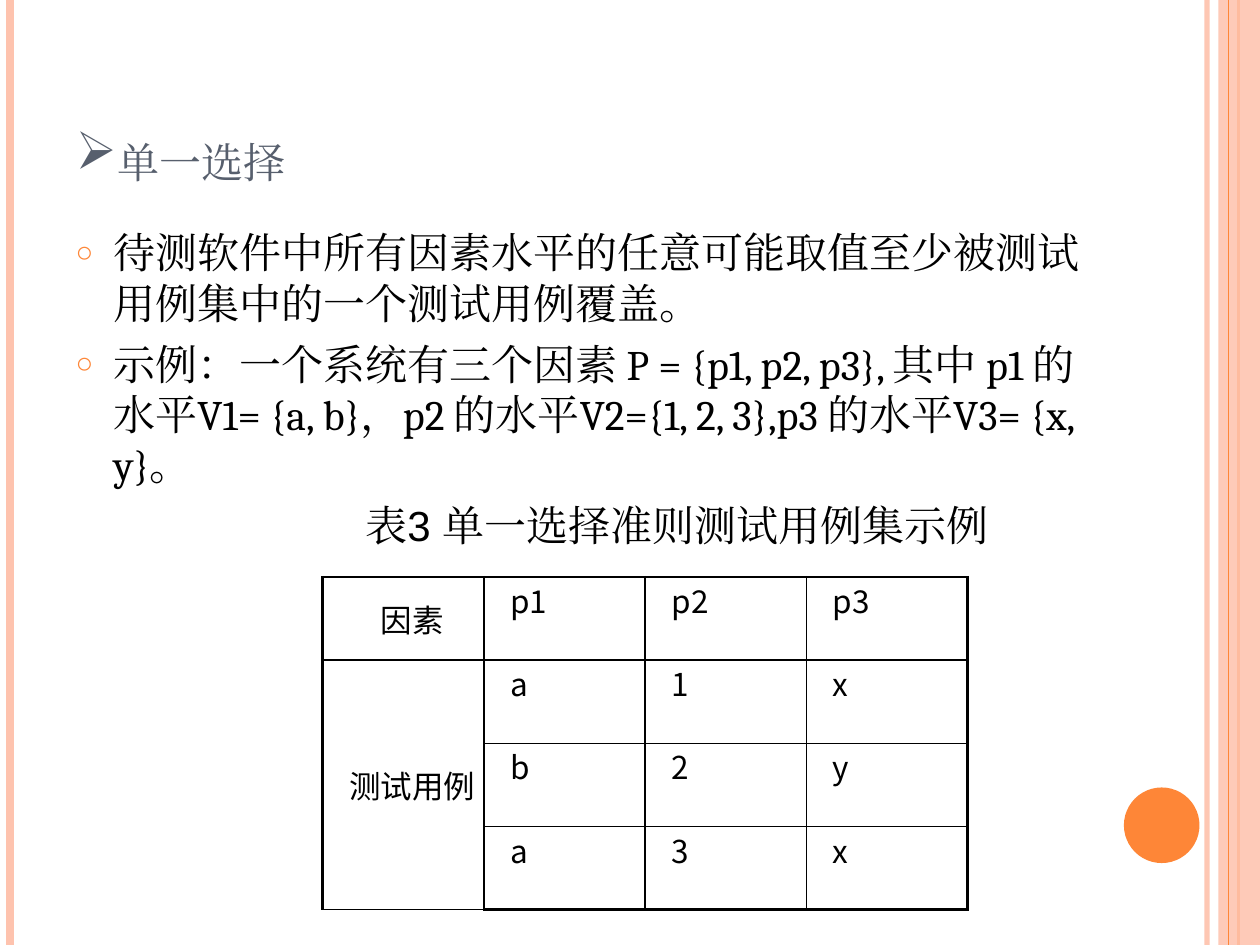
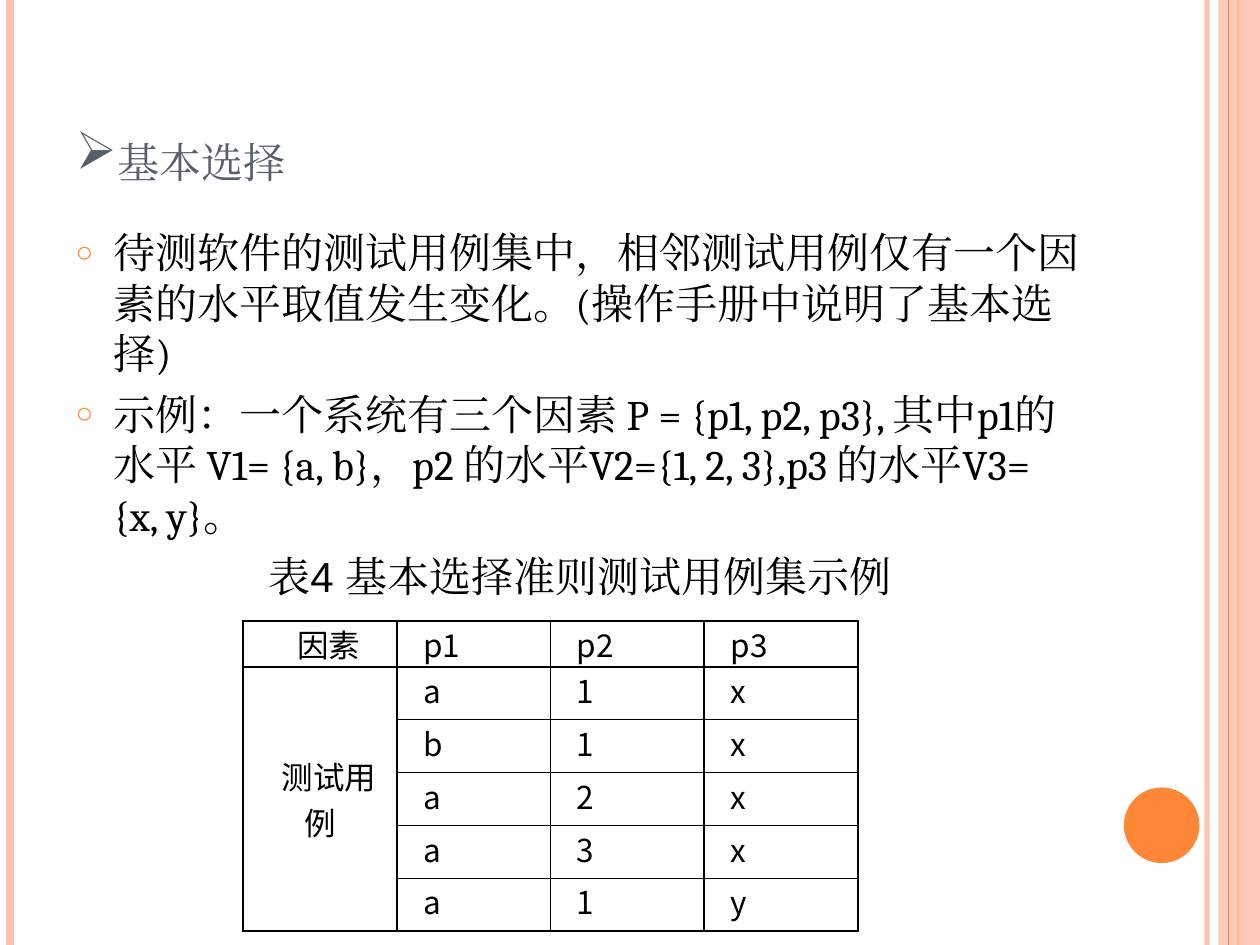
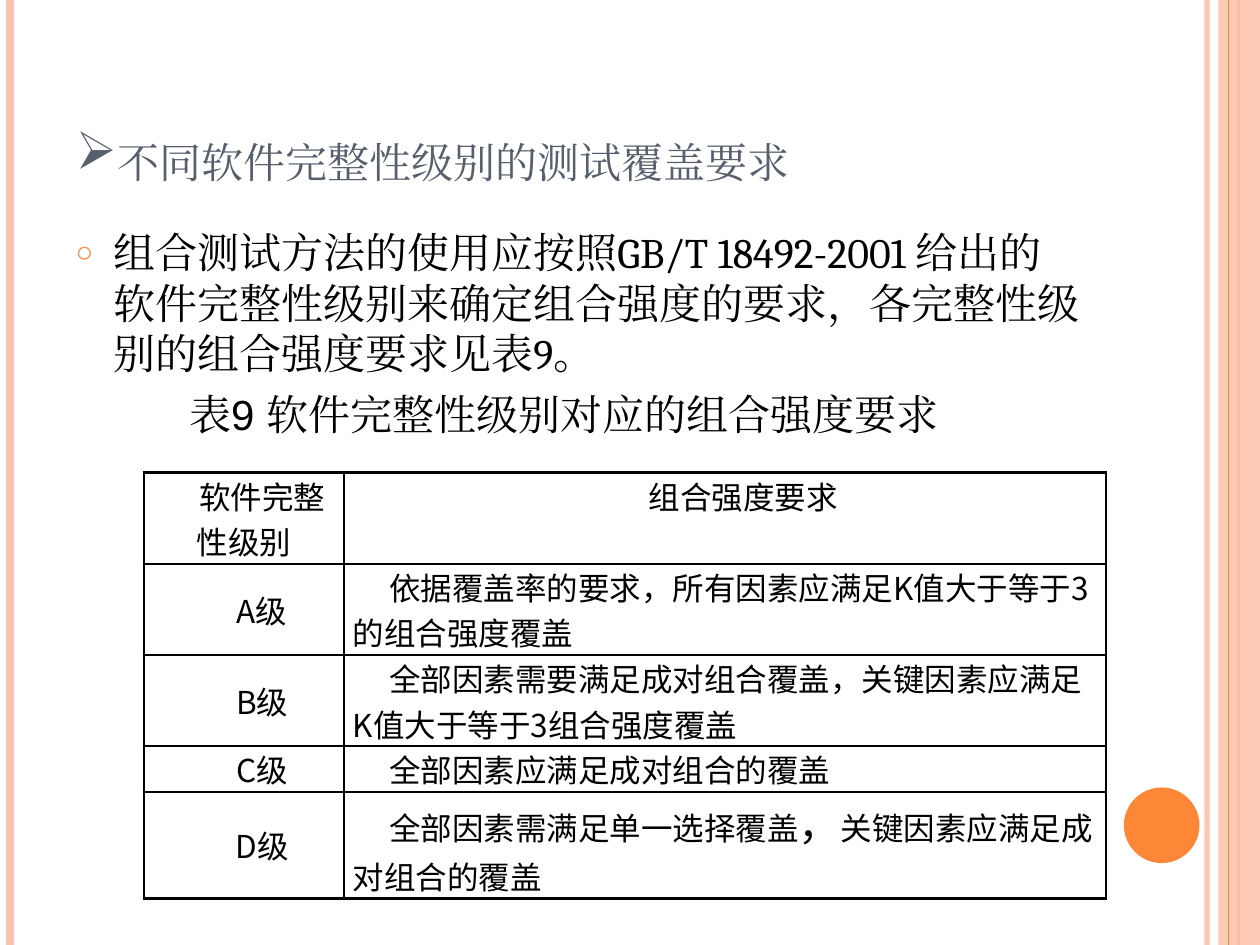
from dataclasses import dataclass
from typing import Optional, Union

from lxml import etree
from pptx import Presentation
from pptx import util as u
from pptx.dml import color
from pptx.enum import shapes, text
from pptx.oxml import ns


@dataclass(frozen=True)
class Theme:
    ink: str = "000000"
    title: str = "575F6D"
    accent: str = "FE8637"
    pale: str = "FEC3AE"
    serif: str = "Cambria"
    caption: str = "Arial"
    table: str = "Noto Sans CJK SC"
    title_pt: int = 30
    body_pt: int = 24
    cell_pt: int = 18
    gap_pt: int = 6
    thick: float = 1.5
    thin: float = 1


@dataclass(frozen=True)
class Box:
    col: float
    row: float
    cols: float
    rows: float


@dataclass(frozen=True)
class Rule:
    col: float
    color: str
    width: float
    alpha: int = 100


@dataclass(frozen=True)
class Run:
    text: str
    size: int


Cell = Union[str, list[Run]]


@dataclass(frozen=True)
class Grid:
    left: float
    top: float
    cols: list[float]
    rows: list[float]
    cells: list[list[Cell]]
    indent: float = 1.4
    merge_label: bool = True
    centre_header: bool = False


@dataclass(frozen=True)
class Page:
    title: str
    points: list[str]
    caption: str
    caption_indent: float
    grid: Grid


T = Theme()
WIDTH, HEIGHT = u.Inches(10), u.Inches(7.5)
COLUMNS, ROWS = 100, 75
TITLE_BOX = Box(5, 3, 81.7, 12.5)
BODY_BOX = Box(5, 17.5, 81.7, 53.3)
BAND_BOX = Box(96.7, 0, 3.3, ROWS)
DOT_BOX = Box(89.2, 62.5, 6, 6)
HANG = 3
CELL_INSET = 0.7


def col(n: float) -> int:
    return round(WIDTH * n / COLUMNS)


def row(n: float) -> int:
    return round(HEIGHT * n / ROWS)


def place(box: Box) -> tuple[int, int, int, int]:
    return col(box.col), row(box.row), col(box.cols), row(box.rows)


def rgb(value: str) -> color.RGBColor:
    return color.RGBColor.from_string(value)


def child(parent, tag: str, **attrs):
    return etree.SubElement(parent, ns.qn(tag), {k: str(v) for k, v in attrs.items()})


def set_alpha(sp, percent: int) -> None:
    if percent < 100:
        clr = next(sp.element.spPr.iter(ns.qn("a:srgbClr")))
        child(clr, "a:alpha", val=percent * 1000)


def add_text(p, content: str, *, size: float, font: str, fill: str = T.ink,
             east: Optional[str] = None, small_caps: bool = False) -> None:
    r = p.add_run()
    r.text = content
    r.font.size = u.Pt(size)
    r.font.color.rgb = rgb(fill)
    r.font.name = font
    rpr = r.font._element
    child(rpr, "a:ea", typeface=east or font)
    if small_caps:
        rpr.set("cap", "small")


def set_paragraph(p, *, margin: float = 0, indent: float = 0, before: float = 0,
                  align=text.PP_ALIGN.LEFT, bullet: Optional[str] = None,
                  bullet_color: Optional[str] = None, bullet_size: int = 100) -> None:
    p.alignment = align
    p.space_before = u.Pt(before)
    ppr = p._p.get_or_add_pPr()
    ppr.set("marL", str(col(margin)))
    ppr.set("indent", str(col(indent)))
    if bullet is None:
        child(ppr, "a:buNone")
        return
    if bullet_color:
        child(child(ppr, "a:buClr"), "a:srgbClr", val=bullet_color)
    child(ppr, "a:buSzPct", val=bullet_size * 1000)
    child(ppr, "a:buChar", char=bullet)


def add_rule(s, rule: Rule):
    line = s.shapes.add_connector(shapes.MSO_CONNECTOR.STRAIGHT,
                                  col(rule.col), 0, col(rule.col), HEIGHT)
    line.line.color.rgb = rgb(rule.color)
    line.line.width = u.Pt(rule.width)
    set_alpha(line, rule.alpha)
    child(line.element.spPr, "a:effectLst")
    return line


def add_solid(s, kind, box: Box, fill: str, alpha: int = 100):
    sp = s.shapes.add_shape(kind, *place(box))
    sp.shadow.inherit = False
    sp.fill.solid()
    sp.fill.fore_color.rgb = rgb(fill)
    sp.line.fill.background()
    set_alpha(sp, alpha)
    return sp


def decorate_layout(layout, s) -> None:
    decorations = [
        add_rule(s, Rule(95.8, T.pale, 3, 93)),
        add_rule(s, Rule(0.8, T.pale, 4.5)),
        add_rule(s, Rule(98.3, T.accent, 1.5)),
        add_solid(s, shapes.MSO_SHAPE.RECTANGLE, BAND_BOX, T.pale, 87),
        add_rule(s, Rule(97.5, T.accent, 0.75)),
        add_solid(s, shapes.MSO_SHAPE.OVAL, DOT_BOX, T.accent),
    ]
    for sp in decorations:
        layout.shapes.element.append(sp.element)


def prepare(sp, box: Box, anchor):
    sp.left, sp.top, sp.width, sp.height = place(box)
    tf = sp.text_frame
    tf.word_wrap = True
    tf.auto_size = text.MSO_AUTO_SIZE.NONE
    tf.vertical_anchor = anchor
    return tf


def add_title(s, content: str) -> None:
    tf = prepare(s.shapes.title, TITLE_BOX, text.MSO_ANCHOR.BOTTOM)
    p = tf.paragraphs[0]
    set_paragraph(p, bullet="➢")
    add_text(p, content, size=T.title_pt, font=T.serif, fill=T.title, small_caps=True)


def add_body(s, page: Page) -> None:
    tf = prepare(s.placeholders[1], BODY_BOX, text.MSO_ANCHOR.TOP)
    for i, point in enumerate(page.points):
        p = tf.paragraphs[0] if i == 0 else tf.add_paragraph()
        set_paragraph(p, margin=HANG, indent=-HANG, before=T.gap_pt, bullet="○",
                      bullet_color=T.accent, bullet_size=70)
        add_text(p, point, size=T.body_pt, font=T.serif)
    p = tf.add_paragraph()
    set_paragraph(p, margin=page.caption_indent, before=T.gap_pt)
    add_text(p, page.caption, size=T.body_pt, font=T.caption, east=T.serif)


def set_borders(cell, widths: dict[str, float]) -> None:
    tcpr = cell._tc.get_or_add_tcPr()
    for side, width in widths.items():
        ln = child(tcpr, f"a:ln{side}", w=u.Pt(width))
        child(child(ln, "a:solidFill"), "a:srgbClr", val=T.ink)


def add_grid(s, grid: Grid) -> None:
    n_rows, n_cols = len(grid.rows), len(grid.cols)
    box = Box(grid.left, grid.top, sum(grid.cols), sum(grid.rows))
    table = s.shapes.add_table(n_rows, n_cols, *place(box)).table
    table.first_row = table.horz_banding = False
    for c, width in enumerate(grid.cols):
        table.columns[c].width = col(width)
    for r, height in enumerate(grid.rows):
        table.rows[r].height = row(height)
    if grid.merge_label:
        table.cell(1, 0).merge(table.cell(n_rows - 1, 0))

    for r in range(n_rows):
        for c in range(n_cols):
            cell = table.cell(r, c)
            cell.margin_left = cell.margin_right = col(CELL_INSET)
            cell.margin_top = cell.margin_bottom = 0
            set_borders(cell, {
                "L": T.thick if c == 0 else T.thin,
                "R": T.thick if c == n_cols - 1 else T.thin,
                "T": T.thick if r <= 1 else T.thin,
                "B": T.thick if r in (0, n_rows - 1) else T.thin,
            })
            cell.fill.background()
            if cell.is_spanned:
                continue
            header = grid.centre_header and r == 0
            middle = c == 0 and not header
            cell.vertical_anchor = text.MSO_ANCHOR.MIDDLE if middle else text.MSO_ANCHOR.TOP
            p = cell.text_frame.paragraphs[0]
            set_paragraph(p, indent=grid.indent,
                          align=text.PP_ALIGN.CENTER if c == 0 or header else text.PP_ALIGN.LEFT)
            content = grid.cells[r][c]
            runs = [Run(content, T.cell_pt)] if isinstance(content, str) else content
            for run in runs:
                add_text(p, run.text, size=run.size, font=T.table)


def factor_cells(*cases: str) -> list[list[Cell]]:
    labels = ["因素", "测试用例"] + [""] * (len(cases) - 1)
    values = [["p1", "p2", "p3"]] + [list(case) for case in cases]
    return [[label, *line] for label, line in zip(labels, values)]


PAGES = [
    Page(
        "单一选择",
        ["待测软件中所有因素水平的任意可能取值至少被测试用例集中的一个测试用例覆盖。",
         "示例：一个系统有三个因素 P = {p1, p2, p3}, 其中 p1 的水平V1= {a, b}，"
         "p2 的水平V2={1, 2, 3},p3 的水平V3= {x, y}。"],
        "表3 单一选择准则测试用例集示例", 23,
        Grid(25.6, 45.8, [12.8] * 4, [6.6] * 4, factor_cells("a1x", "b2y", "a3x")),
    ),
    Page(
        "基本选择",
        ["待测软件的测试用例集中，相邻测试用例仅有一个因素的水平取值发生变化。"
         "(操作手册中说明了基本选择)",
         "示例：一个系统有三个因素 P = {p1, p2, p3}, 其中p1的水平 V1= {a, b}，"
         "p2 的水平V2={1, 2, 3},p3 的水平V3= {x, y}。"],
        "表4 基本选择准则测试用例集示例", 15.3,
        Grid(19.3, 49.3, [12.2] * 4, [3.4] + [4.2] * 5,
             factor_cells("a1x", "b1x", "a2x", "a3x", "a1y")),
    ),
    Page(
        "不同软件完整性级别的测试覆盖要求",
        ["组合测试方法的使用应按照GB/T 18492-2001 给出的软件完整性级别来确定组合强度的要求，"
         "各完整性级别的组合强度要求见表9。"],
        "表9 软件完整性级别对应的组合强度要求", 9,
        Grid(11.4, 37.5, [15.9, 60.5], [6.4, 6.6, 7.2, 3.6, 7.8],
             [["软件完整性级别", "组合强度要求"],
              ["A级", "依据覆盖率的要求，所有因素应满足K值大于等于3的组合强度覆盖"],
              ["B级", "全部因素需要满足成对组合覆盖，关键因素应满足K值大于等于3组合强度覆盖"],
              ["C级", "全部因素应满足成对组合的覆盖"],
              ["D级", [Run("全部因素需满足单一选择覆盖", T.cell_pt), Run("，", T.body_pt),
                      Run("关键因素应满足成对组合的覆盖", T.cell_pt)]]],
             indent=2.9, merge_label=False, centre_header=True),
    ),
]


def main() -> None:
    prs = Presentation()
    prs.slide_width, prs.slide_height = WIDTH, HEIGHT
    layout = prs.slide_layouts[1]
    for i, page in enumerate(PAGES):
        s = prs.slides.add_slide(layout)
        if i == 0:
            decorate_layout(layout, s)
        add_title(s, page.title)
        add_body(s, page)
        add_grid(s, page.grid)
    prs.save("out.pptx")


main()
